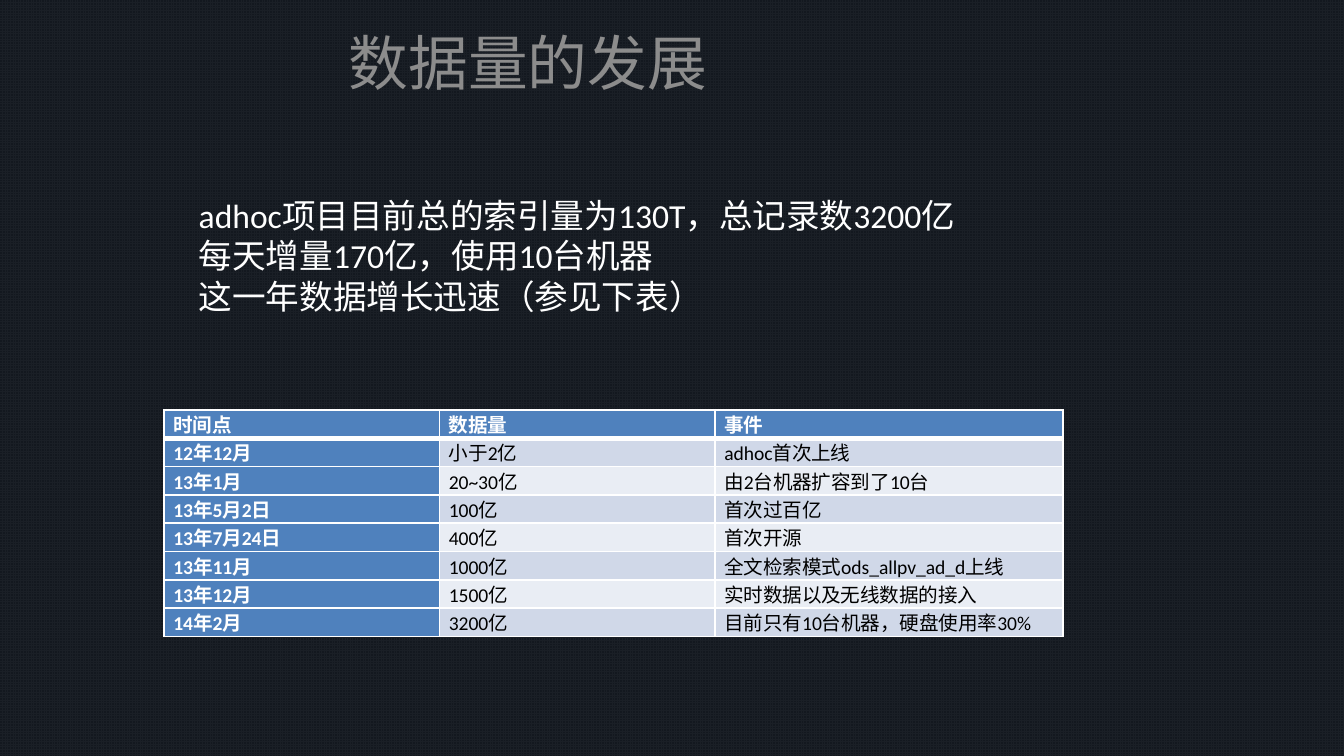
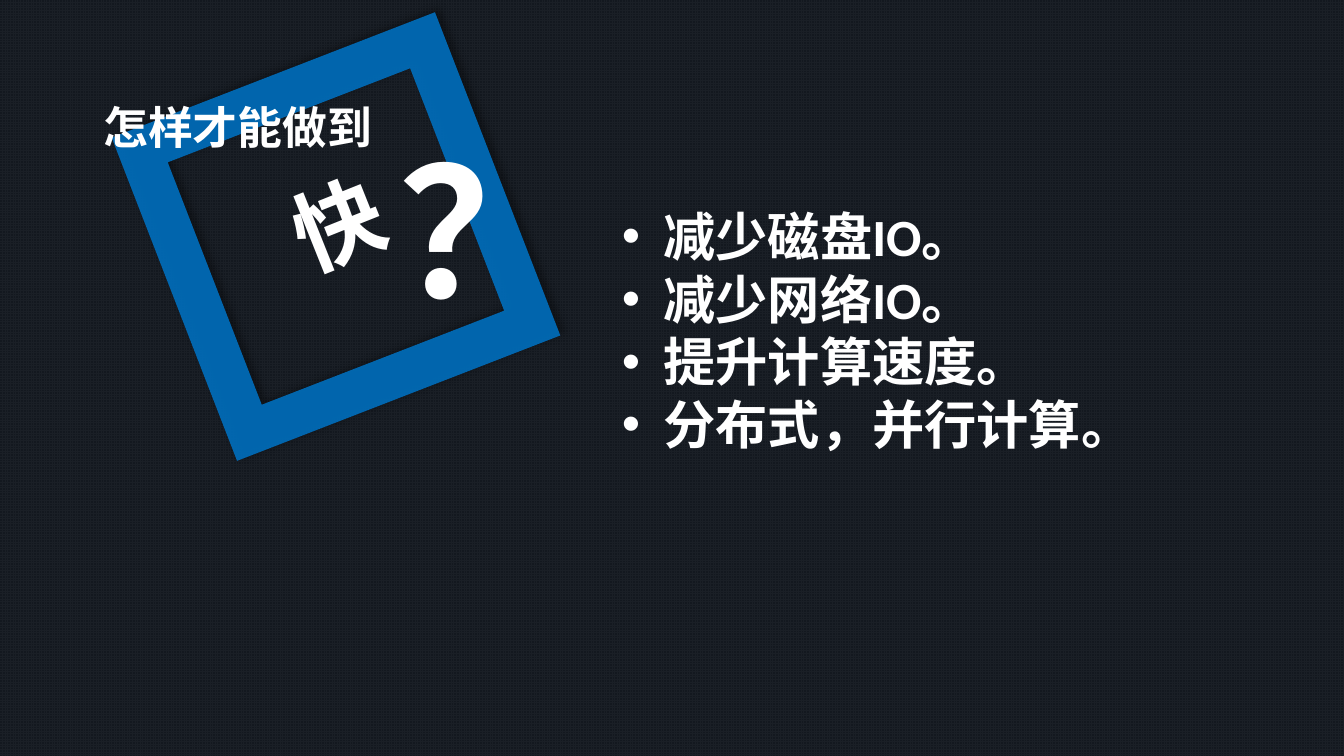
from lxml import etree
from pptx import Presentation
from pptx.dml.color import RGBColor
from pptx.enum.dml import MSO_PATTERN
from pptx.enum.shapes import MSO_SHAPE
from pptx.enum.text import MSO_ANCHOR, PP_ALIGN
from pptx.oxml import parse_xml
from pptx.oxml.ns import qn
from pptx.util import Inches, Pt

GRID = MSO_PATTERN.SMALL_GRID
RECT, OVAL, FRAME = MSO_SHAPE.RECTANGLE, MSO_SHAPE.OVAL, MSO_SHAPE.FRAME
TOP, MIDDLE = MSO_ANCHOR.TOP, MSO_ANCHOR.MIDDLE
LEFT, CENTER, JUSTIFY = PP_ALIGN.LEFT, PP_ALIGN.CENTER, PP_ALIGN.JUSTIFY
NS = 'xmlns:a="http://schemas.openxmlformats.org/drawingml/2006/main"'

# Content
TITLE = "数据量的发展"
FACTS = [
    "adhoc项目目前总的索引量为130T，总记录数3200亿",
    "每天增量170亿，使用10台机器",
    "这一年数据增长迅速（参见下表）",
]
ROWS = [
    ("时间点", "数据量", "事件"),
    ("12年12月", "小于2亿", "adhoc首次上线"),
    ("13年1月", "20~30亿", "由2台机器扩容到了10台"),
    ("13年5月2日", "100亿", "首次过百亿"),
    ("13年7月24日 ", "400亿", "首次开源"),
    ("13年11月 ", "1000亿", "全文检索模式ods_allpv_ad_d上线"),
    ("13年12月", "1500亿", "实时数据以及无线数据的接入"),
    ("14年2月", "3200亿", "目前只有10台机器，硬盘使用率30%"),
]
ASK, FAST, MARK = "怎样才能做到", "快", "？"
WAYS = ["减少磁盘IO。", "减少网络IO。", "提升计算速度。", "分布式，并行计算。"]

# Shared style
WIDE = 10
HIGH = WIDE * 9 / 16
LATIN, HAN = "Calibri", "Noto Sans CJK SC"
WHITE, BLACK, GRAY, BLUE = "FFFFFF", "000000", "8C8C8C", "0070C0"
HEAD, BANDS = "4F81BD", ("E9EDF4", "D0D8E8")
COLS = (2.05, 2.05, 2.59)


def color(code):
    return RGBColor.from_string(code)


def write(frame, text, size=18, font=LATIN, ink=WHITE, bold=False,
          align=LEFT, anchor=TOP, bullet=None):
    """Fill a text frame, one paragraph for each line."""
    lines = [text] if isinstance(text, str) else text
    frame.word_wrap = True
    frame.vertical_anchor = anchor
    for i, line in enumerate(lines):
        para = frame.add_paragraph() if i else frame.paragraphs[0]
        para.alignment = align
        run = para.add_run()
        run.text = line
        face = run.font
        face.size, face.name, face.bold = Pt(size), font, bold
        face.color.rgb = color(ink)
        if font == HAN:
            east = parse_xml(f'<a:ea {NS} typeface="{font}"/>')
            run._r.rPr.find(qn("a:latin")).addnext(east)
        if bullet:
            props = para._p.get_or_add_pPr()
            props.set("marL", str(Inches(0.31)))
            props.set("indent", str(-Inches(0.31)))
            etree.SubElement(props, qn("a:buFont"), typeface="Arial")
            etree.SubElement(props, qn("a:buChar"), char=bullet)


def label(slide, box, text, **style):
    shape = slide.shapes.add_textbox(*map(Inches, box))
    write(shape.text_frame, text, **style)


def draw(slide, kind, box, fill=None, alpha=100, turn=0):
    shape = slide.shapes.add_shape(kind, *map(Inches, box))
    shape.shadow.inherit = False
    shape.line.fill.background()
    shape.rotation = turn
    if fill:
        shape.fill.solid()
        shape.fill.fore_color.rgb = color(fill)
        tone = shape.element.spPr.find(".//" + qn("a:srgbClr"))
        etree.SubElement(tone, qn("a:alpha"), val=str(alpha * 1000))
    else:
        shape.fill.background()
    return shape


def shade(shape, ink, alpha, blur, dist, angle):
    glow = parse_xml(
        f'<a:outerShdw {NS} blurRad="{Pt(blur)}" dist="{Pt(dist)}" '
        f'dir="{angle * 60000}" algn="tl" rotWithShape="0">'
        f'<a:srgbClr val="{ink}"><a:alpha val="{alpha * 1000}"/></a:srgbClr>'
        '</a:outerShdw>')
    shape.element.spPr.find(qn("a:effectLst")).append(glow)


def border(cell, base):
    props = cell._tc.get_or_add_tcPr()
    for side, width in (("L", 1), ("R", 1), ("T", 1), ("B", base)):
        props.append(parse_xml(
            f'<a:ln{side} {NS} w="{Pt(width)}"><a:solidFill>'
            f'<a:srgbClr val="{WHITE}"/></a:solidFill></a:ln{side}>'))


def backdrop(deck, slide):
    """Put the grid and its dark veil on the master."""
    master = deck.slide_master
    fill = master.background.fill
    fill.patterned()
    fill.pattern = GRID
    fill.fore_color.rgb = color("2E3B4B")
    fill.back_color.rgb = color("1C2A3A")
    veil = draw(slide, RECT, (0, 0, WIDE, HIGH), "0D0D0D", 59)
    master.element.cSld.spTree.insert(2, veil.element)


def growth(slide):
    # Title
    title = slide.shapes.title
    title.left, title.top, title.width, title.height = map(
        Inches, (0.43, 0.14, 7, 0.71))
    write(title.text_frame, TITLE, size=32, ink=GRAY, align=CENTER)

    # Table of milestones
    table = slide.shapes.add_table(
        len(ROWS), len(COLS), *map(Inches, (1.22, 3.05, sum(COLS), 1.4))).table
    for col, width in zip(table.columns, COLS):
        col.width = Inches(width)
    for r, row in enumerate(ROWS):
        for c, text in enumerate(row):
            cell = table.cell(r, c)
            key = r == 0 or c == 0
            cell.margin_left = cell.margin_right = Inches(0.07)
            cell.margin_top = cell.margin_bottom = 0
            border(cell, 1 if r else 3)
            cell.fill.solid()
            cell.fill.fore_color.rgb = color(HEAD if key else BANDS[r % 2])
            write(cell.text_frame, text, size=10.5, bold=key, align=JUSTIFY,
                  ink=WHITE if key else BLACK)

    # Facts above the table
    label(slide, (1.38, 1.4, 5.89, 1.01), FACTS)


def speed(slide):
    # Tilted frame with the question
    oval = draw(slide, OVAL, (1.37, 1.02, 2.28, 1.28), turn=338.1)
    write(oval.text_frame, FAST, size=48, font=HAN, bold=True,
          align=CENTER, anchor=MIDDLE)
    frame = draw(slide, FRAME, (1.21, 0.47, 2.58, 2.58), BLUE, 89, 338.8)
    shade(frame, BLACK, 40, 4, 3, 315)
    label(slide, (0.67, 0.69, 2.2, 0.5), ASK, size=24, font=HAN, bold=True)
    label(slide, (2.87, 0.84, 1.55, 1.72), MARK, size=96, font=HAN, bold=True)

    # Answers
    label(slide, (4.53, 1.47, 3.94, 1.99), WAYS, size=28, bold=True, bullet="•")


def main():
    deck = Presentation()
    deck.slide_width, deck.slide_height = Inches(WIDE), Inches(HIGH)
    first = deck.slides.add_slide(deck.slide_layouts[5])
    backdrop(deck, first)
    growth(first)
    speed(deck.slides.add_slide(deck.slide_layouts[6]))
    deck.save("out.pptx")


if __name__ == "__main__":
    main()
